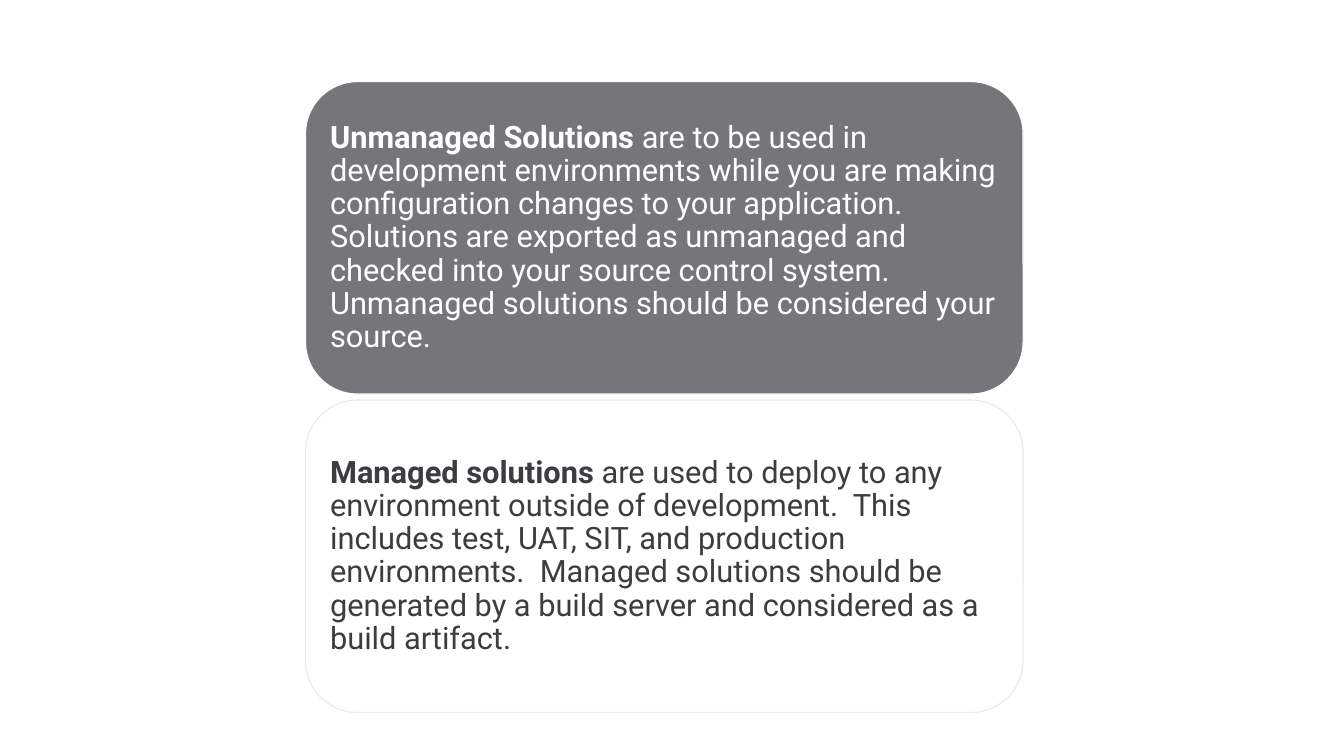
from dataclasses import dataclass

from pptx import Presentation
from pptx.dml.color import RGBColor
from pptx.enum.shapes import MSO_SHAPE
from pptx.enum.text import MSO_ANCHOR, PP_ALIGN
from pptx.slide import Slide
from pptx.util import Pt

LEFT, TOP, WIDTH, HEIGHT = 218.2, 58.3, 512.6, 223.2
PITCH = 227.5
INSET = 6.7


@dataclass
class Card:
    term: str
    text: str
    fill: str
    line: str
    color: str


CARDS = [
    Card(
        "Unmanaged Solutions ",
        "are to be used in development environments while you are making "
        "configuration changes to your application.  Solutions are exported as "
        "unmanaged and checked into your source control system.  Unmanaged "
        "solutions should be considered your source.",
        fill="75757A", line="FFFFFF", color="FFFFFF",
    ),
    Card(
        "Managed solutions ",
        "are used to deploy to any environment outside of development.  This "
        "includes test, UAT, SIT, and production environments.  Managed solutions "
        "should be generated by a build server and considered as a build artifact.",
        fill="FFFFFF", line="EBEBEB", color="3C3C41",
    ),
]


def rgb(value: str) -> RGBColor:
    return RGBColor.from_string(value)


def add_run(p, text: str, *, color: str, bold: bool = False,
            size: float = 22, font: str = "Roboto") -> None:
    r = p.add_run()
    r.text = text
    r.font.name = font
    r.font.size = Pt(size)
    r.font.bold = bold
    r.font.color.rgb = rgb(color)


def draw_card(s: Slide, card: Card, top: float) -> None:
    # Rounded panel
    sp = s.shapes.add_shape(MSO_SHAPE.ROUNDED_RECTANGLE,
                            Pt(LEFT), Pt(top), Pt(WIDTH), Pt(HEIGHT))
    sp.shadow.inherit = False
    sp.fill.solid()
    sp.fill.fore_color.rgb = rgb(card.fill)
    sp.line.color.rgb = rgb(card.line)
    sp.line.width = Pt(0.85)

    # Definition: bold term, then its explanation
    tf = sp.text_frame
    tf.word_wrap = True
    tf.vertical_anchor = MSO_ANCHOR.MIDDLE
    tf.margin_left = tf.margin_right = Pt(INSET)
    tf.margin_top = tf.margin_bottom = Pt(INSET)
    p = tf.paragraphs[0]
    p.alignment = PP_ALIGN.LEFT
    p.line_spacing = 0.9
    p.space_after = Pt(7.7)
    add_run(p, card.term, color=card.color, bold=True)
    add_run(p, card.text, color=card.color)


def main() -> None:
    prs = Presentation()
    prs.slide_width, prs.slide_height = Pt(960), Pt(540)
    s = prs.slides.add_slide(prs.slide_layouts[6])
    for i, card in enumerate(CARDS):
        draw_card(s, card, TOP + i * PITCH)
    prs.save("out.pptx")


if __name__ == "__main__":
    main()
